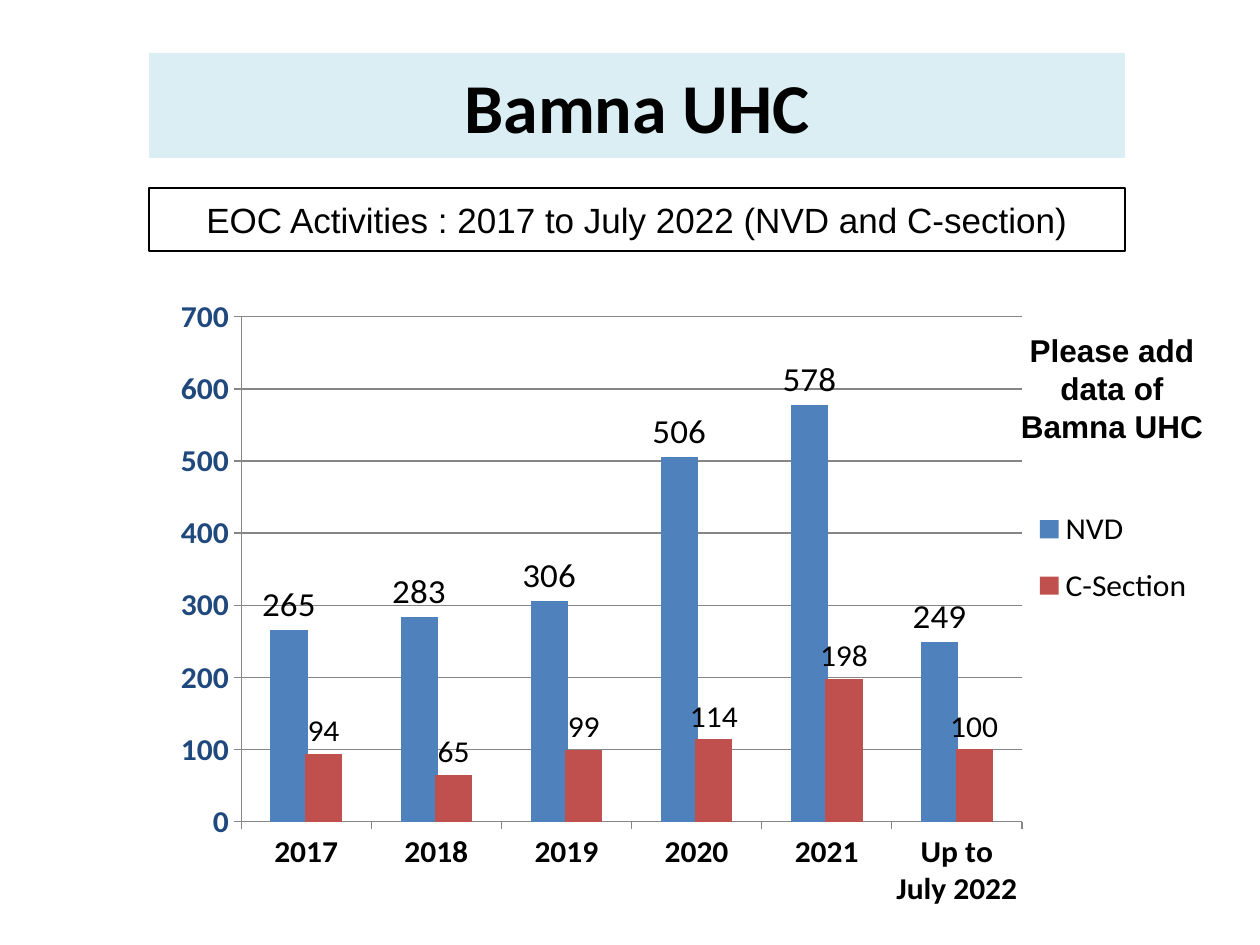
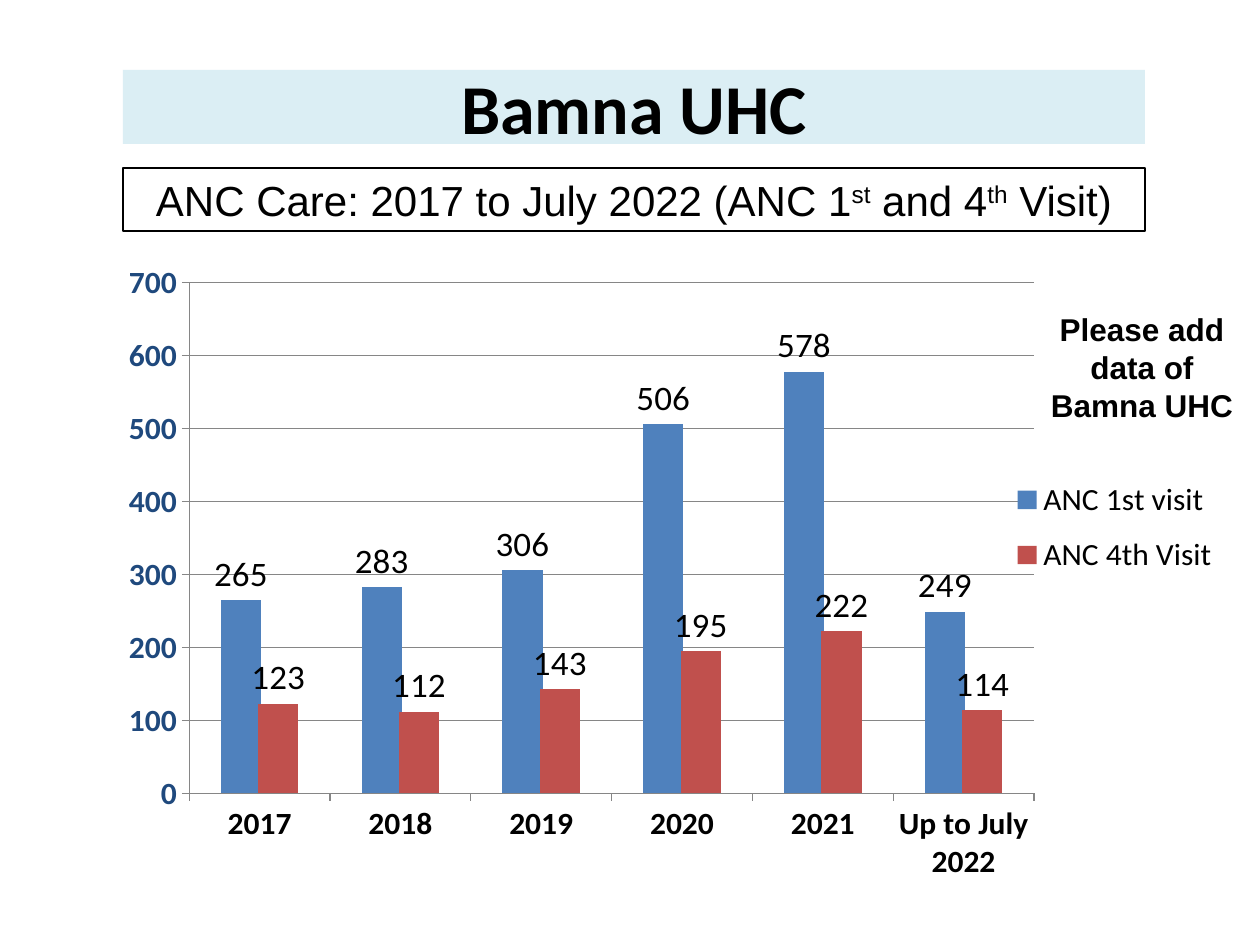
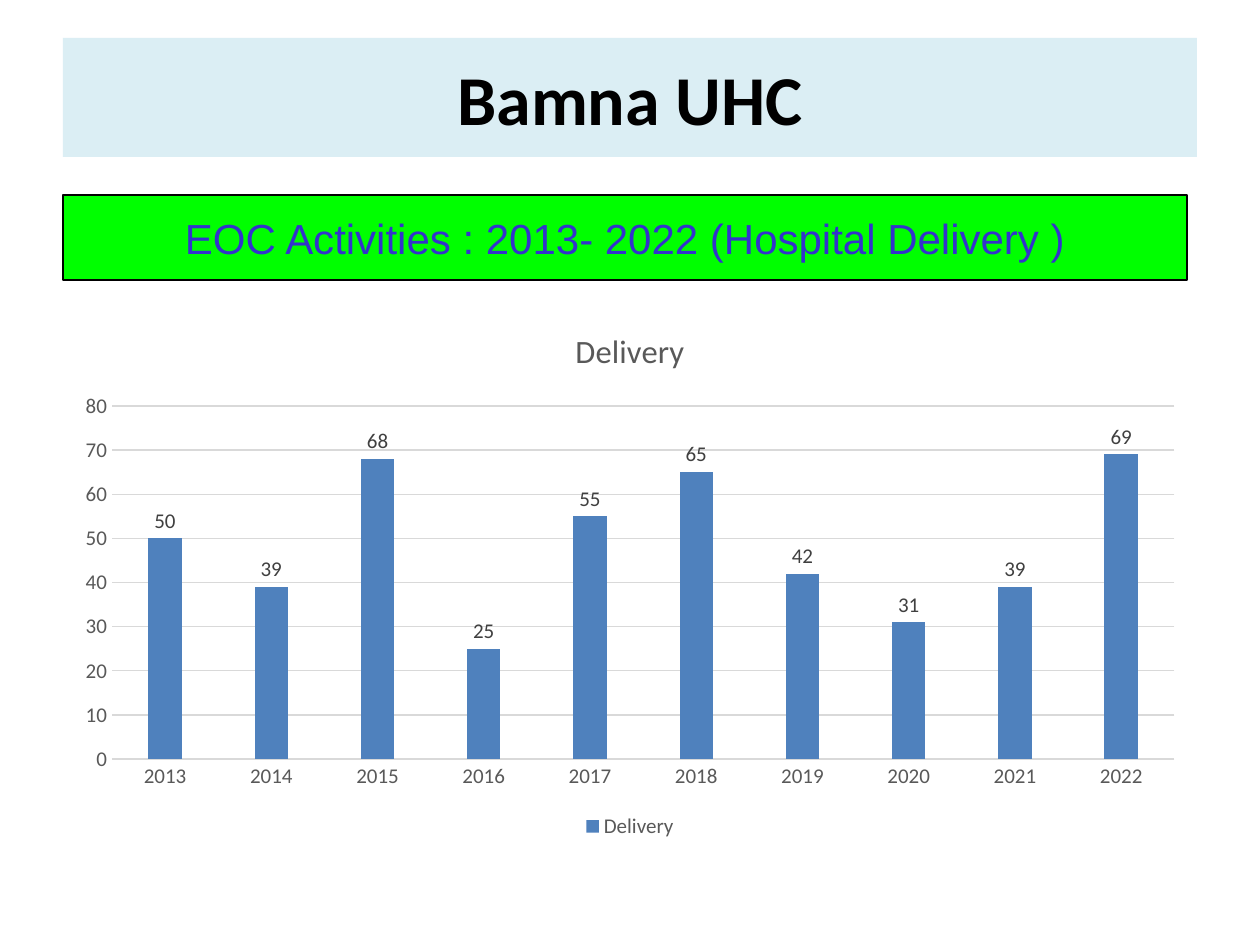
from dataclasses import dataclass
from lxml import etree
from pptx import Presentation
from pptx.chart.data import CategoryChartData as Data
from pptx.dml.color import RGBColor as RGB
from pptx.enum.chart import XL_CHART_TYPE as Kind, XL_LABEL_POSITION as Spot
from pptx.enum.chart import XL_LEGEND_POSITION as Side, XL_TICK_MARK as Tick
from pptx.enum.shapes import MSO_SHAPE as Form
from pptx.enum.text import MSO_ANCHOR as Anchor, PP_ALIGN as Align
from pptx.oxml.ns import qn
from pptx.util import Pt

SCALE = 914400 // 126


@dataclass(frozen=True)
class Theme:
    head: str = "Calibri"
    body: str = "Arial"
    ink: str = "000000"
    band: str = "DBEEF4"
    paper: str = "FFFFFF"
    lime: str = "00FF00"
    violet: str = "3333CC"
    navy: str = "1F497D"
    bars: tuple = ("4F81BD", "C0504D")
    rule: str = "868686"
    pale: str = "D9D9D9"
    gray: str = "595959"
    dark: str = "404040"
    title: int = 40
    large: int = 24
    mid: int = 20
    base: int = 18
    small: int = 12
    caption: float = 18.6


T = Theme()

TITLE = "Bamna UHC"
NOTE = "Please add data of Bamna UHC"
YEARS = ["2017", "2018", "2019", "2020", "2021", "Up to July 2022"]
FIRST = [265, 283, 306, 506, 578, 249]

BOLD = dict(
    cats=YEARS, top=700, step=100, gap=157, lap=7, size=T.base, bold=True,
    tick=Tick.OUTSIDE, side=Side.RIGHT, cat=T.ink, val=T.navy, key=T.ink,
    mark=T.ink, grid=T.rule, line=T.rule, edge=T.rule, name=None,
)
PLAIN = dict(
    cats=[str(year) for year in range(2013, 2023)], top=80, step=10, gap=219,
    lap=-27, size=T.small, bold=False, tick=Tick.NONE, side=Side.BOTTOM,
    cat=T.gray, val=T.gray, key=T.gray, mark=T.dark, grid=T.pale,
    line=T.pale, edge=None, name="Delivery",
)

SLIDES = [
    dict(
        band=(149, 53, 976, 105),
        sub=(149, 188, 976, 63), size=T.mid, fill=T.paper, ink=T.ink,
        parts=[("EOC Activities : 2017 to July 2022 (NVD and C-section)", False)],
        chart=(149, 280, 1048, 627), look=BOLD, note=(994, 325, 236, 127),
        plot=(0.088, 0.061, 0.745, 0.837), legend=(0.84, 0.35, 0.16, 0.22),
        rows=[("NVD", FIRST, T.mid),
              ("C-Section", [94, 65, 99, 114, 198, 100], T.base)],
    ),
    dict(
        band=(123, 70, 1022, 74),
        sub=(123, 168, 1022, 63), size=T.large, fill=T.paper, ink=T.ink,
        parts=[("ANC Care: 2017 to July 2022 (ANC 1", False), ("st", True),
               (" and 4", False), ("th", True), (" Visit)", False)],
        chart=(94, 256, 1134, 624), look=BOLD, note=(1024, 304, 236, 127),
        plot=(0.084, 0.044, 0.745, 0.837), legend=(0.81, 0.34, 0.18, 0.21),
        rows=[("ANC 1st visit", FIRST, T.mid),
              ("ANC 4th Visit", [123, 112, 143, 195, 222, 114], T.mid)],
    ),
    dict(
        band=(63, 38, 1134, 119),
        sub=(63, 195, 1124, 85), size=T.large, fill=T.lime, ink=T.violet,
        parts=[("EOC Activities : 2013- 2022 (Hospital Delivery )", False)],
        chart=(63, 305, 1134, 539), look=PLAIN,
        rows=[("Delivery", [50, 39, 68, 25, 55, 65, 42, 31, 39, 69], T.small)],
    ),
]


def emu(box):
    return [n * SCALE for n in box]


def style(font, face, size, ink, bold=False):
    font.name = face
    font.size = Pt(size)
    font.bold = bold
    font.color.rgb = RGB.from_string(ink)


def stroke(line, ink):
    if ink:
        line.color.rgb = RGB.from_string(ink)
        line.width = Pt(0.75)
    else:
        line.fill.background()


def write(frame, parts, face, size, ink, bold=False):
    frame.word_wrap = True
    para = frame.paragraphs[0]
    para.alignment = Align.CENTER
    style(para.font, face, size, ink, bold)
    for text, raised in parts:
        run = para.add_run()
        run.text = text
        if raised:
            run.font._element.set("baseline", "30000")


def panel(slide, box, fill, edge):
    shape = slide.shapes.add_shape(Form.RECTANGLE, *emu(box))
    shape.shadow.inherit = False
    shape.fill.solid()
    shape.fill.fore_color.rgb = RGB.from_string(fill)
    stroke(shape.line, edge)
    shape.text_frame.vertical_anchor = Anchor.MIDDLE
    return shape.text_frame


def place(owner, spot, box, inner=False):
    for old in owner.findall(qn("c:layout")):
        owner.remove(old)
    layout = etree.Element(qn("c:layout"))
    manual = etree.SubElement(layout, qn("c:manualLayout"))
    pairs = [("layoutTarget", "inner")] if inner else []
    pairs += [("xMode", "edge"), ("yMode", "edge"), *zip("xywh", box)]
    for tag, val in pairs:
        etree.SubElement(manual, qn("c:" + tag)).set("val", str(val))
    owner.insert(spot, layout)


def graph(slide, item):
    look = item["look"]
    data = Data()
    data.categories = look["cats"]
    for name, vals, _ in item["rows"]:
        data.add_series(name, vals)
    chart = slide.shapes.add_chart(
        Kind.COLUMN_CLUSTERED, *emu(item["chart"]), data).chart
    size = look["size"]
    style(chart.font, T.head, size, T.ink)

    chart.has_title = bool(look["name"])
    if look["name"]:
        frame = chart.chart_title.text_frame
        frame.text = look["name"]
        style(frame.paragraphs[0].font, T.head, T.caption, T.gray)

    chart.has_legend = True
    legend = chart.legend
    legend.position = look["side"]
    legend.include_in_layout = False
    style(legend.font, T.head, size, look["key"])

    cat, val = chart.category_axis, chart.value_axis
    for axis, ink, edge in ((cat, look["cat"], look["line"]),
                            (val, look["val"], look["edge"])):
        style(axis.tick_labels.font, T.head, size, ink, look["bold"])
        axis.major_tick_mark = look["tick"]
        axis.minor_tick_mark = Tick.NONE
        stroke(axis.format.line, edge)
    val.minimum_scale, val.maximum_scale = 0, look["top"]
    val.major_unit = look["step"]
    val.has_major_gridlines = True
    stroke(val.major_gridlines.format.line, look["grid"])

    plot = chart.plots[0]
    plot.vary_by_categories = False
    plot.gap_width, plot.overlap = look["gap"], look["lap"]
    for row, ink, (_, _, points) in zip(plot.series, T.bars, item["rows"]):
        row.format.fill.solid()
        row.format.fill.fore_color.rgb = RGB.from_string(ink)
        marks = row.data_labels
        marks.show_value = True
        marks.position = Spot.OUTSIDE_END
        style(marks.font, T.head, points, look["mark"])

    if "plot" in item:
        area = chart._chartSpace.find(".//" + qn("c:plotArea"))
        place(area, 0, item["plot"], True)
        place(legend._element, 1, item["legend"])


def build(deck, item):
    slide = deck.slides.add_slide(deck.slide_layouts[6])
    head = panel(slide, item["band"], T.band, None)
    head.margin_left = head.margin_right = 9 * SCALE
    head.margin_top = head.margin_bottom = 5 * SCALE
    write(head, [(TITLE, False)], T.head, T.title, T.ink, True)
    sub = panel(slide, item["sub"], item["fill"], T.ink)
    write(sub, item["parts"], T.body, item["size"], item["ink"])
    graph(slide, item)
    if "note" in item:
        note = slide.shapes.add_textbox(*emu(item["note"])).text_frame
        write(note, [(NOTE, False)], T.body, T.base, T.ink, True)


def main():
    deck = Presentation()
    deck.slide_width, deck.slide_height = emu((1260, 945))
    for item in SLIDES:
        build(deck, item)
    deck.save("out.pptx")


if __name__ == "__main__":
    main()
